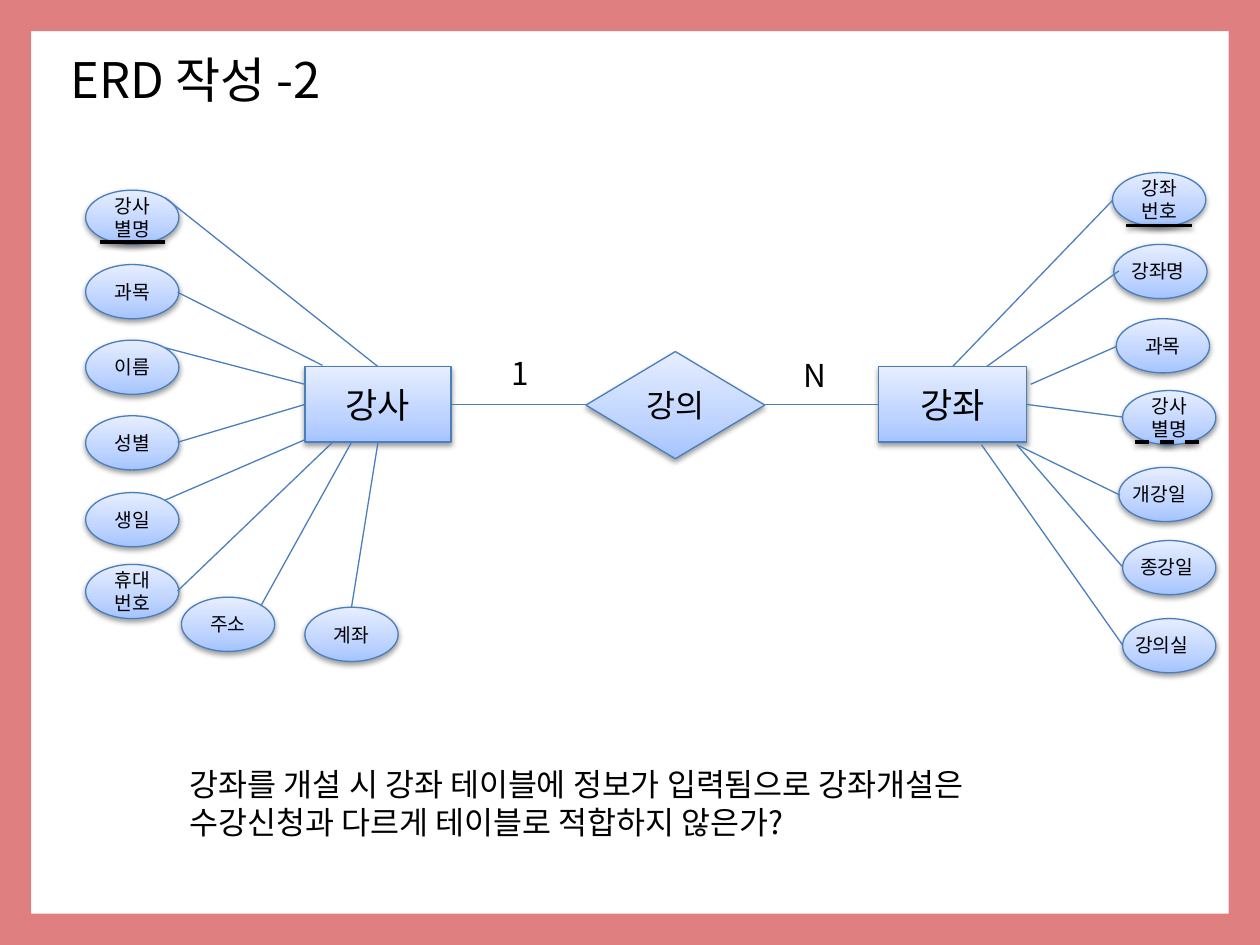
from copy import deepcopy

from lxml import etree
from pptx import Presentation
from pptx.dml.color import RGBColor
from pptx.enum.dml import MSO_LINE
from pptx.enum.shapes import MSO_CONNECTOR, MSO_SHAPE
from pptx.enum.text import MSO_ANCHOR, PP_ALIGN
from pptx.oxml.ns import qn
from pptx.util import Inches, Pt

RECTANGLE, ELLIPSE = MSO_SHAPE.RECTANGLE, MSO_SHAPE.OVAL
DIAMOND, FRAME = MSO_SHAPE.FLOWCHART_DECISION, MSO_SHAPE.FRAME
STRAIGHT, DASH = MSO_CONNECTOR.STRAIGHT, MSO_LINE.DASH
LEFT, CENTER = PP_ALIGN.LEFT, PP_ALIGN.CENTER
TOP, MIDDLE = MSO_ANCHOR.TOP, MSO_ANCHOR.MIDDLE

COLUMNS, ROWS = 10, 7.5
FONT = "Noto Sans CJK KR"
BLUE, BLACK = "4B7EBC", "000000"
GRADIENT = [(0, "A4C4FF"), (0.35, "BFD4FF"), (1, "E6EEFF")]
OVAL_SIZE = (0.74, 0.43)
LABEL_SIZE = (0.79, 0.29)

ENTITIES = [
    (RECTANGLE, (6.97, 2.91, 1.18, 0.6), "강좌", 20),
    (RECTANGLE, (2.42, 2.91, 1.16, 0.6), "강사", 20),
    (DIAMOND, (4.65, 2.79, 1.42, 0.85), "강의", 18),
]
ATTRIBUTES = [
    (8.83, 1.37, "강좌번호"),
    (8.86, 2.53, "과목"),
    (8.91, 3.1, "강사\n별명"),
    (0.68, 1.51, "강사\n별명"),
    (0.68, 2.1, "과목"),
    (0.68, 2.7, "이름"),
    (0.68, 3.3, "성별"),
    (0.68, 3.91, "생일"),
    (0.68, 4.48, "휴대번호"),
    (1.44, 4.74, "주소"),
    (2.42, 4.82, "계좌"),
]
LABELLED_ATTRIBUTES = [
    (8.84, 1.94, "강좌명", 0.04),
    (8.88, 3.71, "개강일", 0.01),
    (8.91, 4.29, "종강일", 0.04),
    (8.91, 4.91, "강의실", 0),
]
KEY_LINES = [
    (8.94, 1.79, None),
    (9.01, 3.51, DASH),
    (0.79, 1.92, None),
]
LINKS = [
    (8.83, 1.59, 7.56, 2.91),
    (8.88, 2.15, 7.83, 2.91),
    (8.86, 2.75, 8.18, 3.05),
    (8.91, 3.31, 8.15, 3.21),
    (8.89, 3.93, 8.07, 3.53),
    (8.91, 4.5, 8.07, 3.53),
    (8.91, 5.12, 7.79, 3.53),
    (2.79, 4.82, 3, 3.51),
    (2.07, 4.81, 2.79, 3.51),
    (1.41, 4.69, 2.64, 3.51),
    (1.31, 3.97, 2.42, 3.49),
    (1.41, 3.51, 2.42, 3.21),
    (1.31, 2.76, 2.42, 3.05),
    (1.41, 2.32, 2.56, 2.9),
    (1.31, 1.57, 3, 2.91),
    (3.58, 3.21, 4.65, 3.21),
    (6.97, 3.21, 6.07, 3.21),
]
NOTE = ("강좌를 개설 시 강좌 테이블에 정보가 입력됨으로 강좌개설은\n"
        "수강신청과 다르게 테이블로 적합하지 않은가?")


def color(value):
    return RGBColor.from_string(value)


def grid(*cells):
    return [Inches(cell) for cell in cells]


def apply_format(target, values):
    for name, value in values.items():
        setattr(target, name, value)


def set_effects(shape, shadow):
    effects = etree.SubElement(shape._element.spPr, qn("a:effectLst"))
    if shadow:
        outer = etree.SubElement(effects, qn("a:outerShdw"), blurRad="40000",
                                 dist="20000", dir="5400000", rotWithShape="0")
        tint = etree.SubElement(outer, qn("a:srgbClr"), val=BLACK)
        etree.SubElement(tint, qn("a:alpha"), val="38000")


def write_text(shape, text, size, align=LEFT, anchor=TOP, wrap=True):
    frame = shape.text_frame
    apply_format(frame, {"word_wrap": wrap, "vertical_anchor": anchor})
    for index, line in enumerate(text.split("\n")):
        para = frame.add_paragraph() if index else frame.paragraphs[0]
        para.alignment = align
        span = para.add_run()
        span.text = line
        apply_format(span.font, {"size": Pt(size), "name": FONT})
        span.font.color.rgb = color(BLACK)
        etree.SubElement(span.font._element, qn("a:ea"), typeface=FONT)


def fill_gradient(shape):
    shape.fill.gradient()
    shape.fill.gradient_angle = 90
    stop_list = shape._element.spPr.find(".//" + qn("a:gsLst"))
    stop_list.append(deepcopy(stop_list[0]))
    for stop, (position, value) in zip(shape.fill.gradient_stops, GRADIENT):
        stop.position = position
        stop.color.rgb = color(value)


def add_node(page, kind, box, text="", size=11):
    shape = page.shapes.add_shape(kind, *grid(*box))
    fill_gradient(shape)
    shape.line.color.rgb = color(BLUE)
    shape.line.width = Pt(0.75)
    set_effects(shape, True)
    if text:
        write_text(shape, text, size, CENTER, MIDDLE)


def add_label(page, box, text, size):
    write_text(page.shapes.add_textbox(*grid(*box)), text, size)


def add_line(page, ends, value=BLUE, width=0.75, dash=None, shadow=False):
    line = page.shapes.add_connector(STRAIGHT, *grid(*ends))
    line.line.color.rgb = color(value)
    apply_format(line.line, {"width": Pt(width), "dash_style": dash})
    set_effects(line, shadow)


def add_border(page):
    border = page.shapes.add_shape(FRAME, *grid(0, 0, COLUMNS, ROWS))
    border.adjustments[0] = 0.033
    border.fill.solid()
    border.fill.fore_color.rgb = color("C00000")
    tint = border._element.spPr.find(".//" + qn("a:srgbClr"))
    etree.SubElement(tint, qn("a:alpha"), val="50000")
    border.line.fill.background()
    border.shadow.inherit = False


def add_title(page):
    title = page.shapes.title
    left, top, width, height = grid(0.46, 0.34, 2.8, 0.57)
    apply_format(title, {"left": left, "top": top, "width": width, "height": height})
    write_text(title, "ERD 작성 -2", 28, anchor=MIDDLE, wrap=False)


def main():
    deck = Presentation()
    deck.slide_width, deck.slide_height = grid(COLUMNS, ROWS)
    page = deck.slides.add_slide(deck.slide_layouts[5])
    add_border(page)
    add_title(page)
    for entity in ENTITIES:
        add_node(page, *entity)
    for left, top, text in ATTRIBUTES:
        add_node(page, ELLIPSE, (left, top, *OVAL_SIZE), text)
    for left, top, text, shift in LABELLED_ATTRIBUTES:
        add_node(page, ELLIPSE, (left, top, *OVAL_SIZE))
        add_label(page, (left + shift, top + 0.07, *LABEL_SIZE), text, 11)
    for left, top, dash in KEY_LINES:
        add_line(page, (left, top, left + 0.52, top), BLACK, 2, dash, True)
    for ends in LINKS:
        add_line(page, ends)
    add_label(page, (3.96, 2.76, 0.4, 0.4), "1", 18)
    add_label(page, (6.28, 2.78, 0.4, 0.4), "N", 18)
    add_label(page, (1.41, 6.02, 7.83, 0.71), NOTE, 18)
    deck.save("out.pptx")


if __name__ == "__main__":
    main()
